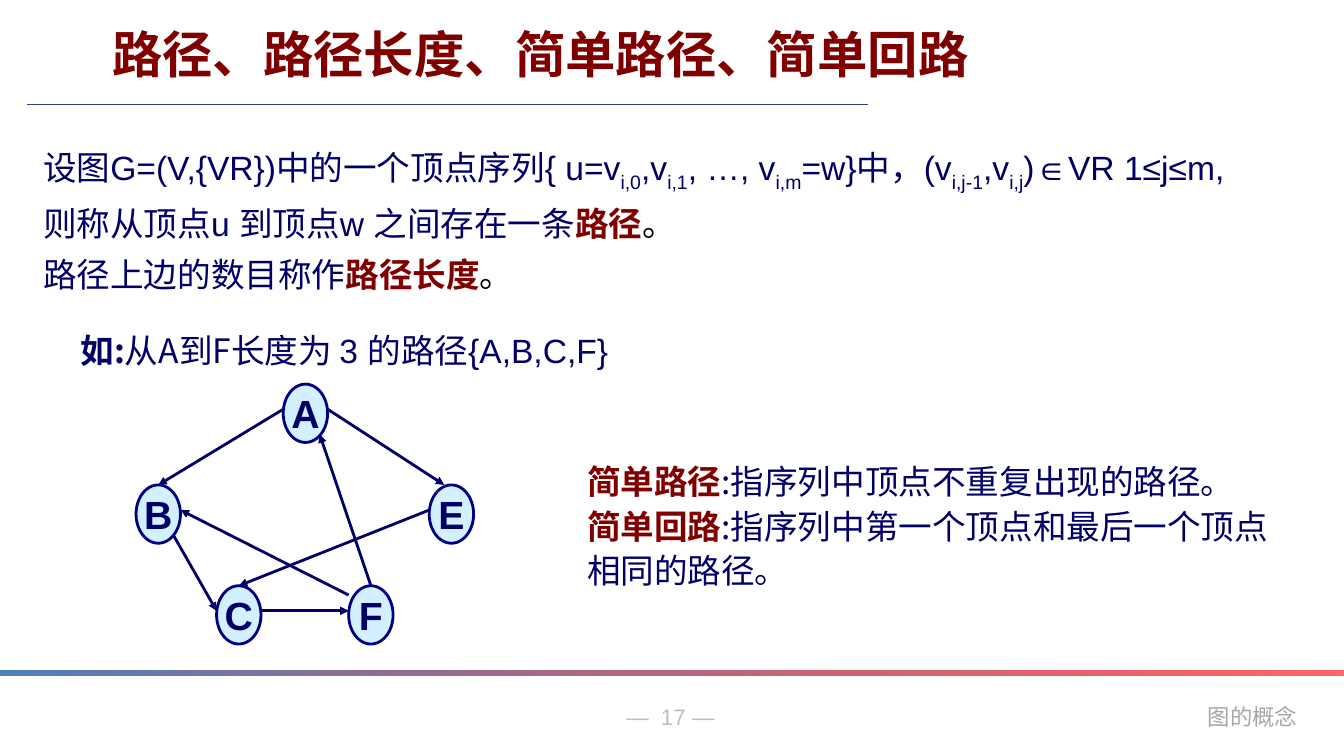
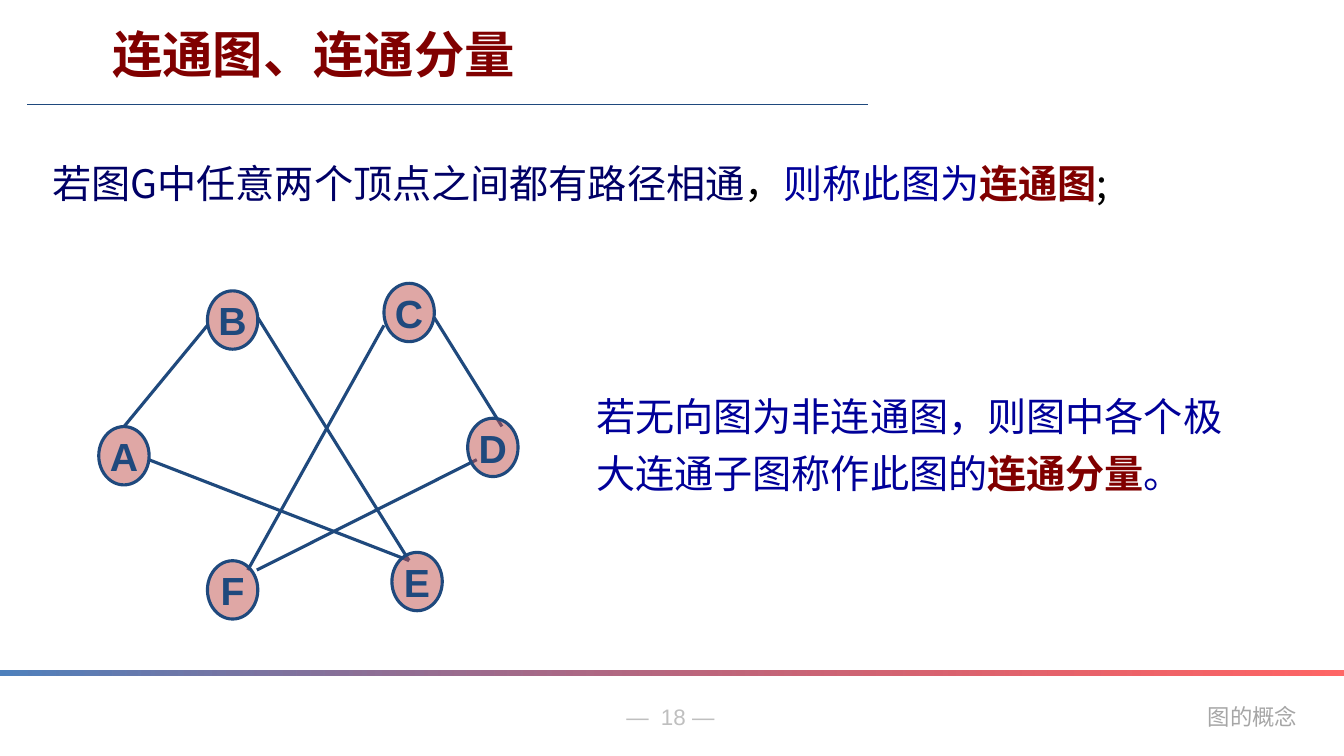
from dataclasses import dataclass

from lxml import etree
from pptx import Presentation
from pptx.dml.color import RGBColor
from pptx.enum.shapes import MSO_CONNECTOR, MSO_SHAPE
from pptx.enum.text import MSO_ANCHOR, PP_ALIGN
from pptx.oxml.ns import qn
from pptx.util import Cm, Pt

STRAIGHT = MSO_CONNECTOR.STRAIGHT
ELLIPSE, RECTANGLE = MSO_SHAPE.OVAL, MSO_SHAPE.RECTANGLE
TOP, MIDDLE = MSO_ANCHOR.TOP, MSO_ANCHOR.MIDDLE
LEFT, CENTER = PP_ALIGN.LEFT, PP_ALIGN.CENTER


@dataclass(frozen=True)
class Theme:
    latin: str = "Arial"
    chinese: str = "Noto Sans CJK SC"
    mono: str = "Noto Sans Mono"
    term: str = "800000"
    navy: str = "000066"
    blue: str = "000099"
    black: str = "000000"
    rule: str = "1F497D"
    band_start: str = "4F81BD"
    band_end: str = "FF0000"
    number: str = "BFBFBF"
    footer: str = "A6A6A6"
    title_size: int = 36
    large_size: int = 28
    body_size: int = 24
    footer_size: int = 16


THEME = Theme()


@dataclass(frozen=True)
class Span:
    text: str
    color: str = ""
    font: str = ""
    bold: bool = False
    subscript: bool = False


@dataclass(frozen=True)
class GraphStyle:
    fill: str
    outline: str
    label: str
    weight: float
    node_width: float
    node_height: float
    directed: bool


DIRECTED = GraphStyle("A7E2FF", "000080", THEME.navy, 2, 1.12, 1.47, True)
UNDIRECTED = GraphStyle("C0504D", THEME.rule, THEME.rule, 2.25, 1.27, 1.47, False)


def term(text):
    return Span(text, color=THEME.term, bold=True)


def chinese(text):
    return Span(text, font=THEME.chinese)


def sub(text):
    return Span(text, subscript=True)


def place(box):
    return [Cm(length) for length in box]


def style_paragraph(paragraph, size, color, font=THEME.latin, bold=False,
                    spacing=None, align=LEFT):
    paragraph.alignment = align
    if spacing:
        paragraph.line_spacing = spacing
    paragraph.font.size = Pt(size)
    paragraph.font.bold = bold
    paragraph.font.color.rgb = RGBColor.from_string(color)
    paragraph.font.name = font
    defaults = paragraph._p.pPr.find(qn("a:defRPr"))
    east_asian = etree.SubElement(defaults, qn("a:ea"))
    east_asian.set("typeface", THEME.chinese)


def add_span(paragraph, span):
    run = paragraph.add_run()
    run.text = span.text
    if span.color:
        run.font.color.rgb = RGBColor.from_string(span.color)
    if span.font:
        run.font.name = span.font
    if span.bold:
        run.font.bold = True
    if span.subscript:
        run._r.get_or_add_rPr().set("baseline", "-25000")


def add_text(slide, box, paragraphs, size, color, wrap=True, **style):
    frame = slide.shapes.add_textbox(*place(box)).text_frame
    frame.word_wrap = wrap
    for index, spans in enumerate(paragraphs):
        paragraph = frame.add_paragraph() if index else frame.paragraphs[0]
        style_paragraph(paragraph, size, color, **style)
        for span in spans:
            add_span(paragraph, span)


def set_last_alpha(shape, percent):
    color = list(shape._element.spPr.iter(qn("a:srgbClr")))[-1]
    etree.SubElement(color, qn("a:alpha")).set("val", str(percent * 1000))


def add_line(shapes, start, end, color, weight, arrow=False):
    line = shapes.add_connector(STRAIGHT, *place(start + end))
    line.line.color.rgb = RGBColor.from_string(color)
    line.line.width = Pt(weight)
    properties = line._element.spPr
    if arrow:
        head = etree.SubElement(properties.find(qn("a:ln")), qn("a:tailEnd"))
        head.set("type", "triangle")
    etree.SubElement(properties, qn("a:effectLst"))


def add_node(shapes, box, label, style):
    node = shapes.add_shape(ELLIPSE, *place(box))
    node.shadow.inherit = False
    node.fill.solid()
    node.fill.fore_color.rgb = RGBColor.from_string(style.fill)
    set_last_alpha(node, 50)
    node.line.color.rgb = RGBColor.from_string(style.outline)
    node.line.width = Pt(style.weight)
    frame = node.text_frame
    frame.word_wrap = False
    frame.vertical_anchor = MIDDLE
    frame.text = label
    style_paragraph(frame.paragraphs[0], THEME.large_size, style.label,
                    bold=True, align=CENTER)


def add_graph(slide, origin, nodes, edges, style):
    shapes = slide.shapes.add_group_shape().shapes
    left, top = origin

    def anchor(label, across, down):
        x, y = nodes[label]
        return (left + x + across * style.node_width,
                top + y + down * style.node_height)

    for start, end in edges:
        add_line(shapes, anchor(*start), anchor(*end), style.outline
                 if not style.directed else style.label,
                 style.weight, style.directed)
    for label in nodes:
        add_node(shapes, anchor(label, 0, 0) + (style.node_width, style.node_height),
                 label, style)


def add_footer(slide, number):
    band = slide.shapes.add_shape(RECTANGLE, *place((0, 16.89, 33.88, 0.13)))
    band.shadow.inherit = False
    band.line.fill.background()
    band.fill.gradient()
    band.fill.gradient_angle = 0
    for stop, color in zip(band.fill.gradient_stops, (THEME.band_start, THEME.band_end)):
        stop.color.rgb = RGBColor.from_string(color)
    set_last_alpha(band, 60)
    add_text(slide, (15.54, 17.6, 2.97, 0.94), [[Span(f"—  {number} —")]],
             THEME.footer_size, THEME.number, wrap=False)
    add_text(slide, (30.2, 17.6, 2.79, 0.94), [[Span("图的概念")]],
             THEME.footer_size, THEME.footer, wrap=False, font=THEME.mono)


def add_titled_slide(presentation, title, number):
    slide = presentation.slides.add_slide(presentation.slide_layouts[5])
    heading = slide.shapes.title
    heading.left, heading.top, heading.width, heading.height = place((2.57, 0.46, 23.4, 1.8))
    frame = heading.text_frame
    frame.text = title
    frame.word_wrap = True
    frame.vertical_anchor = TOP
    style_paragraph(frame.paragraphs[0], THEME.title_size, THEME.term, bold=True)
    add_line(slide.shapes, (0.69, 2.64), (21.89, 2.64), THEME.rule, 1)
    add_footer(slide, number)
    return slide


def build_paths(presentation):
    slide = add_titled_slide(presentation, "路径、路径长度、简单路径、简单回路", 17)
    definition = [
        [Span("设图G=(V,{VR})中的一个顶点序列{ u=v"), sub("i,0"), Span(",v"), sub("i,1"),
         Span(", …, v"), sub("i,m"), Span("=w}中，(v"), sub("i,j-1"), Span(",v"),
         sub("i,j"), Span(")∈VR 1≤j≤m,")],
        [chinese("则称从顶点"), Span("u "), chinese("到顶点"), Span("w "),
         chinese("之间存在一条"), term("路径"), Span("。", color=THEME.black)],
        [chinese("路径上边的数目称作"), term("路径长度"), Span("。", color=THEME.black)],
    ]
    add_text(slide, (0.84, 3.3, 32.99, 3.99), definition,
             THEME.body_size, THEME.navy, spacing=1.25)

    nodes = {"A": (3.71, 0), "B": (0, 2.54), "E": (7.39, 2.54),
             "C": (2.03, 5.08), "F": (5.36, 5.08)}
    edges = [
        (("A", 0, 0.43), ("B", 0.5, 0)),
        (("B", 0.84, 0.86), ("C", 0, 0.43)),
        (("C", 1, 0.43), ("F", 0, 0.43)),
        (("F", 0.5, 0), ("A", 0.82, 0.86)),
        (("A", 1, 0.43), ("E", 0.34, 0)),
        (("F", 0, 0.16), ("B", 1, 0.43)),
        (("E", 0, 0.43), ("C", 0.5, 0)),
    ]
    add_graph(slide, (3.43, 9.68), nodes, edges, DIRECTED)

    example = [Span("如:", bold=True), Span("从A到F长度为 "),
               Span("3 ", font=THEME.latin), Span("的路径"),
               Span("{A,B,C,F}", font=THEME.latin)]
    add_text(slide, (1.78, 7.98, 14.15, 1.37), [example], THEME.body_size,
             THEME.navy, font=THEME.chinese, spacing=1.2)
    simple = [
        [term("简单路径"), Span(":指序列中顶点不重复出现的路径。")],
        [term("简单回路"), Span(":指序列中第一个顶点和最后一个顶点相同的路径。")],
    ]
    add_text(slide, (14.55, 11.4, 17.81, 3.56), simple, THEME.body_size,
             THEME.navy, font=THEME.chinese, spacing=1.1)


def build_connectivity(presentation):
    slide = add_titled_slide(presentation, "连通图、连通分量", 18)
    connected = [Span("若图G中任意两个顶点之间都有路径相通"),
                 Span("，", color=THEME.black), Span("则称此图为", color=THEME.blue),
                 term("连通图"), Span(";", color=THEME.black)]
    add_text(slide, (1.07, 3.66, 30.33, 1.57), [connected], THEME.large_size,
             THEME.navy, font=THEME.chinese, spacing=1.2)
    component = [Span("若无向图为非连通图，则图中各个极大连通子图称作此图的"),
                 term("连通分量"), Span("。")]
    add_text(slide, (14.78, 9.53, 16.64, 3), [component], THEME.large_size,
             THEME.blue, spacing=1.2)

    nodes = {"B": (2.74, 0.19), "A": (0, 3.61), "C": (7.19, 0),
             "D": (9.3, 3.4), "F": (2.74, 6.99), "E": (7.39, 6.78)}
    edges = [
        (("B", 0, 0.59), ("A", 0.5, 0)),
        (("B", 1, 0.46), ("E", 0.34, 0.14)),
        (("A", 1, 0.57), ("E", 0.34, 0.14)),
        (("C", 0, 0.72), ("F", 0.8, 0.16)),
        (("C", 1, 0.59), ("D", 0.68, 0.14)),
        (("D", 0.18, 0.71), ("F", 0.98, 0.16)),
    ]
    add_graph(slide, (2.49, 7.14), nodes, edges, UNDIRECTED)


def main():
    presentation = Presentation()
    presentation.slide_width, presentation.slide_height = Cm(33.88), Cm(19.05)
    build_paths(presentation)
    build_connectivity(presentation)
    presentation.save("out.pptx")


if __name__ == "__main__":
    main()
